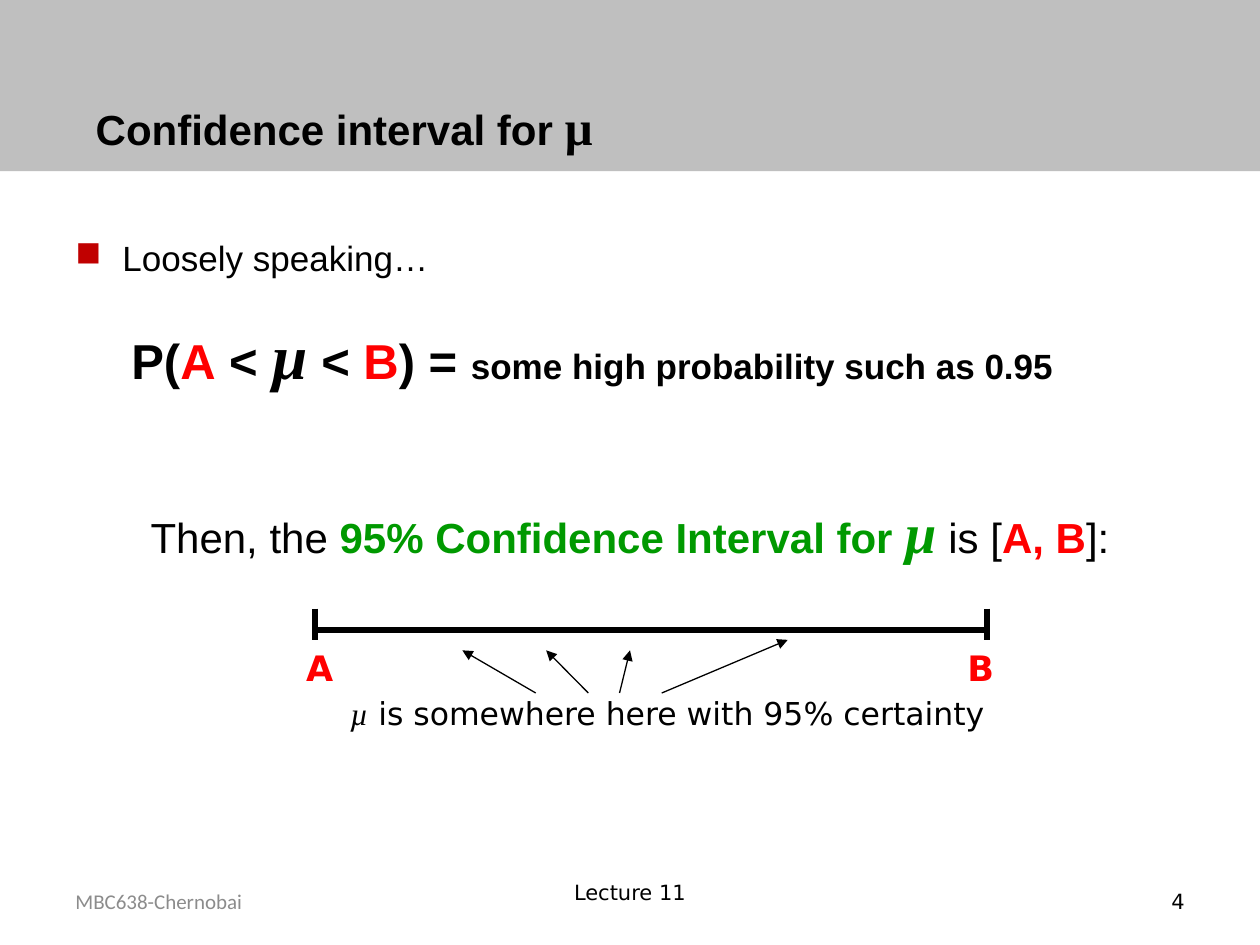
from pptx import Presentation
from pptx.dml.color import RGBColor
from pptx.enum.shapes import MSO_CONNECTOR, MSO_SHAPE
from pptx.enum.text import MSO_ANCHOR, PP_ALIGN
from pptx.oxml import parse_xml
from pptx.oxml.ns import nsdecls
from pptx.util import Cm, Pt

BLACK = RGBColor(0x00, 0x00, 0x00)
RED = RGBColor(0xFF, 0x00, 0x00)
GREEN = RGBColor(0x00, 0x99, 0x00)
DARK_RED = RGBColor(0xC0, 0x00, 0x00)
BANNER_GRAY = RGBColor(0xBF, 0xBF, 0xBF)
FOOTER_GRAY = RGBColor(0x8C, 0x8C, 0x8C)

SANS, SERIF, LABEL = "Arial", "Times New Roman", "DejaVu Sans"


def add_text_frame(slide, box, anchor=MSO_ANCHOR.TOP):
    """Add an empty text box; box is left, top, width, height in cm."""
    frame = slide.shapes.add_textbox(*map(Cm, box)).text_frame
    frame.word_wrap = True
    frame.vertical_anchor = anchor
    return frame


def write(paragraph, text, size=20, font=SANS, color=BLACK, bold=False, italic=False):
    run = paragraph.add_run()
    run.text = text
    run.font.size = Pt(size)
    run.font.name = font
    run.font.color.rgb = color
    run.font.bold = bold
    run.font.italic = italic


def add_line(slide, start, end, width, arrow=False):
    """Draw a straight line between two points in cm."""
    line = slide.shapes.add_connector(
        MSO_CONNECTOR.STRAIGHT, *map(Cm, (*start, *end)))
    line.line.color.rgb = BLACK
    line.line.width = Pt(width)
    if arrow:
        line.line._get_or_add_ln().append(
            parse_xml(f'<a:tailEnd {nsdecls("a")} type="triangle"/>'))
    line._element.spPr.append(parse_xml(f'<a:effectLst {nsdecls("a")}/>'))


def set_bullet(paragraph, indent):
    properties = paragraph._p.get_or_add_pPr()
    properties.set("marL", str(Cm(indent)))
    properties.set("indent", str(-Cm(indent)))
    properties.append(parse_xml(
        f'<a:buClr {nsdecls("a")}><a:srgbClr val="{DARK_RED}"/></a:buClr>'))
    properties.append(parse_xml(f'<a:buChar {nsdecls("a")} char="■"/>'))


def add_banner(slide, box):
    left, top, width, height = box
    banner = slide.shapes.add_shape(MSO_SHAPE.RECTANGLE, *map(Cm, box))
    banner.shadow.inherit = False
    banner.fill.solid()
    banner.fill.fore_color.rgb = BANNER_GRAY
    banner.line.fill.background()

    frame = add_text_frame(
        slide, (left + 1.68, top + 0.69, width - 3.5, 3.68), MSO_ANCHOR.MIDDLE)
    title = frame.paragraphs[0]
    write(title, "Confidence interval for ", size=24, bold=True)
    write(title, "μ", size=28, font=SERIF, bold=True)


def add_statement(slide, box):
    frame = add_text_frame(slide, box)

    # Bulleted lead-in
    lead = frame.paragraphs[0]
    lead.space_before = Pt(2)
    set_bullet(lead, 0.95)
    write(lead, "Loosely speaking…")

    # Probability formula
    formula = frame.add_paragraph()
    formula.space_before = Pt(21.5)
    formula._p.get_or_add_pPr().set("marL", str(Cm(1.13)))
    write(formula, "P(", size=28, bold=True)
    write(formula, "A", size=28, color=RED, bold=True)
    write(formula, " < ", size=28, bold=True)
    write(formula, "µ", size=36, font=SERIF, bold=True, italic=True)
    write(formula, " < ", size=28, bold=True)
    write(formula, "B", size=28, color=RED, bold=True)
    write(formula, ") = ", size=28, bold=True)
    write(formula, "some high probability such as 0.95", bold=True)

    # Conclusion
    conclusion = frame.add_paragraph()
    conclusion.alignment = PP_ALIGN.CENTER
    conclusion.space_before = Pt(60)
    write(conclusion, "Then, the ", size=24)
    write(conclusion, "95% Confidence Interval for ", size=24, color=GREEN, bold=True)
    write(conclusion, "µ", size=32, font=SERIF, color=GREEN, bold=True, italic=True)
    write(conclusion, " is [", size=24)
    write(conclusion, "A, B", size=24, color=RED, bold=True)
    write(conclusion, "]:", size=24)


def add_interval(slide, box):
    left, top, width, height = box
    axis = top + 0.43

    # Interval line with its end ticks and labels
    add_line(slide, (left, axis), (left + width, axis), 3)
    for name, x, shift in (("A", left, -0.43), ("B", left + width, -0.64)):
        add_line(slide, (x, top), (x, top + 0.64), 3.25)
        frame = add_text_frame(slide, (x + shift, top + 0.64, 1.9, 1.09))
        write(frame.paragraphs[0], name, font=LABEL, color=RED, bold=True)

    # Arrows from the caption to the interval
    for start, end, rise in ((4.45, 2.97, 0.86), (5.51, 4.66, 0.86),
                             (6.14, 6.35, 0.86), (6.99, 9.53, 1.07)):
        add_line(slide, (left + start, top + 1.7),
                 (left + end, top + 1.7 - rise), 0.75, arrow=True)

    # Caption
    frame = add_text_frame(slide, (left + 0.46, top + height - 1.02, width, 1.02))
    caption = frame.paragraphs[0]
    write(caption, "µ", size=18, font=SERIF, italic=True)
    write(caption, " is somewhere here with 95% certainty", size=18, font=LABEL)


def add_footer(slide, box):
    left, top, width, height = box
    parts = (
        ("MBC638-Chernobai", 0, 0.3, 5.93, 1.02, PP_ALIGN.LEFT, "Calibri", FOOTER_GRAY),
        ("Lecture 11", 7.41, 0, 8.04, height, PP_ALIGN.CENTER, LABEL, BLACK),
        ("4", width - 5.93, 0.3, 5.93, 1.02, PP_ALIGN.RIGHT, LABEL, BLACK),
    )
    for text, x, y, part_width, part_height, alignment, font, color in parts:
        frame = add_text_frame(
            slide, (left + x, top + y, part_width, part_height), MSO_ANCHOR.MIDDLE)
        frame.paragraphs[0].alignment = alignment
        write(frame.paragraphs[0], text, size=12, font=font, color=color)


def main():
    presentation = Presentation()
    presentation.slide_width = Cm(25.4)
    presentation.slide_height = Cm(19.05)
    slide = presentation.slides.add_slide(presentation.slide_layouts[6])

    add_banner(slide, (0, 0, 25.4, 3.45))
    add_statement(slide, (1.27, 4.65, 22.86, 8.81))
    add_interval(slide, (6.35, 12.27, 13.54, 2.62))
    add_footer(slide, (1.27, 17.35, 22.86, 1.27))

    presentation.save("out.pptx")


if __name__ == "__main__":
    main()
